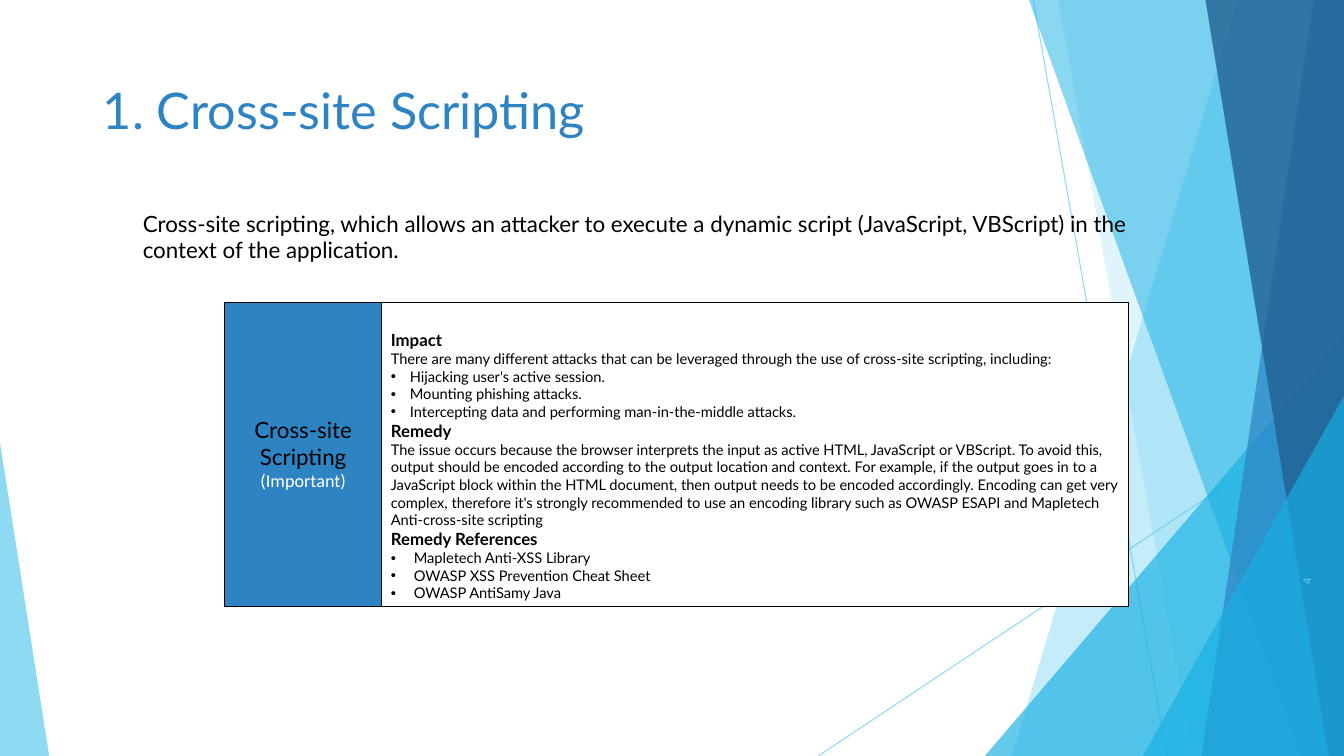
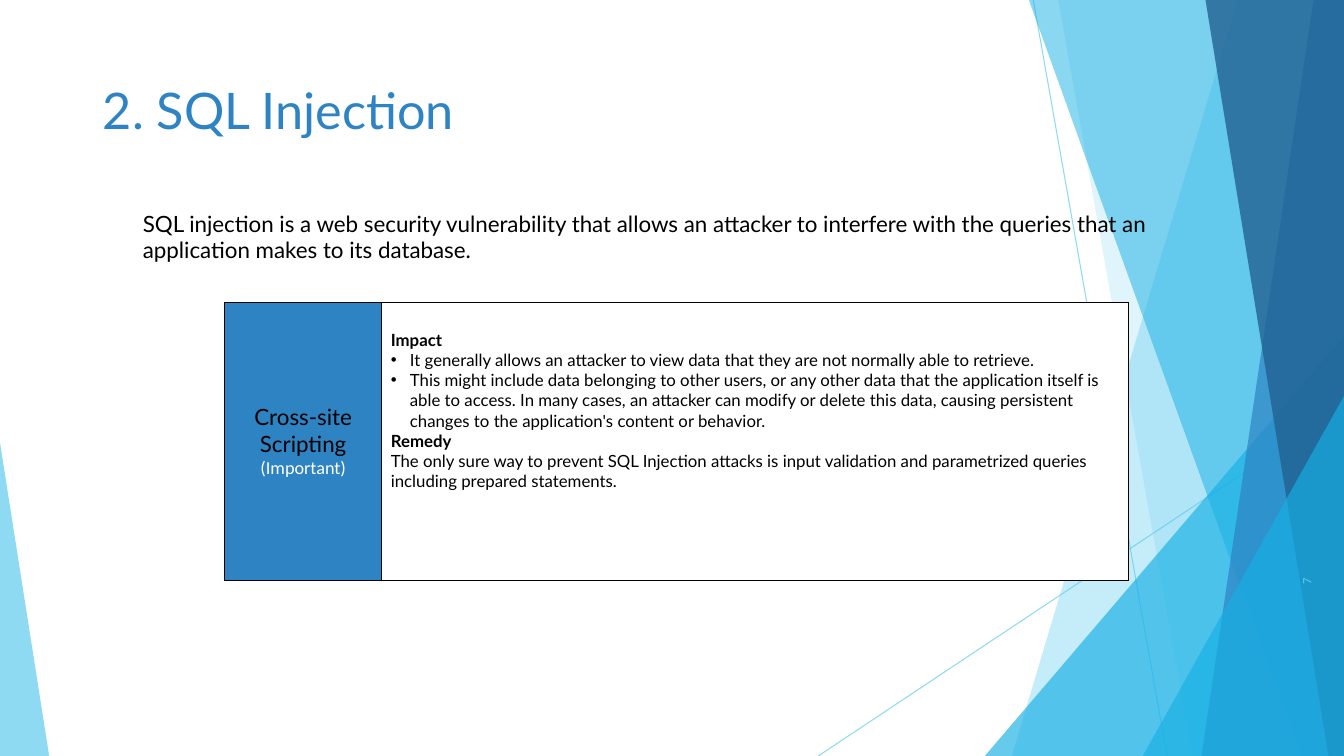
"""Build two slides that each explain a web vulnerability in a table."""
from lxml.etree import SubElement
from pptx import Presentation
from pptx.dml.color import RGBColor
from pptx.enum.shapes import MSO_CONNECTOR, MSO_SHAPE
from pptx.enum.text import MSO_ANCHOR, PP_ALIGN
from pptx.oxml.ns import qn
from pptx.util import Cm, Pt

SKY, CYAN, BLUE, NAVY = "5FCBEF", "17B0E4", "2E83C3", "226292"
BLACK, WHITE = "000000", "FFFFFF"
WIDTH, HEIGHT = 33.87, 19.05
BULLET_INDENT, REFERENCE_INDENT = 0.48, 0.58


def paint(fill, color):
    fill.solid()
    fill.fore_color.rgb = RGBColor.from_string(color)


def write(frame, text, size, color=BLACK, font="Lato", bold=False,
          align=PP_ALIGN.LEFT, spacing=1.0, bullet=None):
    para = frame.add_paragraph() if frame.text else frame.paragraphs[0]
    para.alignment = align
    para.line_spacing = spacing
    span = para.add_run()
    span.text = text
    span.font.size = Pt(size)
    span.font.name = font
    span.font.bold = bold
    paint(span.font.fill, color)
    if bullet:
        properties = para._p.get_or_add_pPr()
        properties.set("marL", str(Cm(bullet)))
        properties.set("indent", str(-Cm(bullet)))
        SubElement(properties, qn("a:buFont"), typeface="Arial")
        SubElement(properties, qn("a:buChar"), char="•")


heading = {"size": 12, "bold": True}
small = {"size": 10.5}
small_bullet = {"size": 10.5, "bullet": BULLET_INDENT}
reference = {"size": 10.5, "bullet": REFERENCE_INDENT}
medium = {"size": 12}
medium_bullet = {"size": 12, "bullet": BULLET_INDENT}

topics = [
    ("1. Cross-site Scripting", "4", 7.65,
     "Cross-site scripting, which allows an attacker to execute a dynamic script "
     "(JavaScript, VBScript) in the context of the application.",
     [("Impact", heading),
      ("There are many different attacks that can be leveraged through the use of "
       "cross-site scripting, including:", small),
      ("Hijacking user's active session.", small_bullet),
      ("Mounting phishing attacks.", small_bullet),
      ("Intercepting data and performing man-in-the-middle attacks.", small_bullet),
      ("Remedy", heading),
      ("The issue occurs because the browser interprets the input as active HTML, "
       "JavaScript or VBScript. To avoid this, output should be encoded according to the "
       "output location and context. For example, if the output goes in to a JavaScript "
       "block within the HTML document, then output needs to be encoded accordingly. "
       "Encoding can get very complex, therefore it's strongly recommended to use an "
       "encoding library such as OWASP ESAPI and Mapletech Anti-cross-site scripting", small),
      ("Remedy References", heading),
      ("Mapletech Anti-XSS Library", reference),
      ("OWASP XSS Prevention Cheat Sheet", reference),
      ("OWASP AntiSamy Java", reference)]),
    ("2. SQL Injection", "7", 7.01,
     "SQL injection is a web security vulnerability that allows an attacker to interfere "
     "with the queries that an application makes to its database.",
     [("Impact", heading),
      ("It generally allows an attacker to view data that they are not normally able to "
       "retrieve.", medium_bullet),
      ("This might include data belonging to other users, or any other data that the "
       "application itself is able to access. In many cases, an attacker can modify or "
       "delete this data, causing persistent changes to the application's content or "
       "behavior.", medium_bullet),
      ("Remedy", heading),
      ("The only sure way to prevent SQL Injection attacks is input validation and "
       "parametrized queries including prepared statements.", medium)]),
]

deck = Presentation()
deck.slide_width, deck.slide_height = Cm(WIDTH), Cm(HEIGHT)
layout = deck.slide_layouts[5]
title_holder, *footer_holders = list(layout.placeholders)
for holder in footer_holders:
    holder.element.getparent().remove(holder.element)
title_holder.left, title_holder.top = Cm(2.34), Cm(1.02)
title_holder.width, title_holder.height = Cm(29.21), Cm(3.68)
pages = [deck.slides.add_slide(layout) for topic in topics]

canvas = pages[0].shapes
decorations = []
for ends in [(26.04, 0, 29.41, HEIGHT), (WIDTH, 10.24, 20.62, HEIGHT)]:
    line = canvas.add_connector(MSO_CONNECTOR.STRAIGHT, *[Cm(value) for value in ends])
    line.line.width = Pt(0.75)
    paint(line.line.fill, SKY)
    SubElement(line.element.spPr, qn("a:effectLst"))
    decorations.append((line, 70))

bands = [
    (SKY, 36, (31.19, 25.5)),
    (SKY, 20, (26.67, 30.05)),
    (CYAN, 66, (24.82, 8.46, 9.05, 1)),
    (CYAN, 50, (25.93, 32.79)),
    (BLUE, 70, (33.1, 30.28)),
    (NAVY, 80, (30.38, 33.48)),
    (CYAN, 66, (28.8, 9.98, 5.07, 1)),
    (SKY, 70, (0, 11.15, 1.24, 0)),
]
for color, opacity, geometry in bands:
    if len(geometry) == 2:
        top_x, bottom_x = geometry
        builder = canvas.build_freeform(Cm(top_x), 0)
        corners = [(WIDTH, 0), (WIDTH, HEIGHT), (bottom_x, HEIGHT)]
        builder.add_line_segments([(Cm(x), Cm(y)) for x, y in corners])
        band = builder.convert_to_shape()
    else:
        left, top, width, peak = geometry
        band = canvas.add_shape(MSO_SHAPE.ISOSCELES_TRIANGLE, Cm(left), Cm(top),
                                Cm(width), Cm(HEIGHT - top))
        band.adjustments[0] = peak
    band.shadow.inherit = False
    band.line.fill.background()
    paint(band.fill, color)
    decorations.append((band, opacity))

for position, (shape, opacity) in enumerate(decorations, start=2):
    color_node = next(shape.element.iter(qn("a:srgbClr")))
    SubElement(color_node, qn("a:alpha"), val=str(opacity * 1000))
    layout.shapes.element.insert(position, shape.element)

for page, (title, number, row_height, intro, details) in zip(pages, topics):
    title_frame = page.shapes.title.text_frame
    title_frame.vertical_anchor = MSO_ANCHOR.MIDDLE
    write(title_frame, title, 36, BLUE, spacing=0.9)

    number_box = page.shapes.add_textbox(Cm(31.09), Cm(15.52), Cm(3.66), Cm(1.27))
    number_box.rotation = 270
    number_box.text_frame.word_wrap = True
    number_box.text_frame.vertical_anchor = MSO_ANCHOR.MIDDLE
    write(number_box.text_frame, number, 9, SKY, "Calibri", align=PP_ALIGN.RIGHT)

    table = page.shapes.add_table(2, 2, Cm(5.66), Cm(6.68), Cm(22.78),
                                  Cm(0.94 + row_height)).table
    table.first_row = table.horz_banding = False
    table.columns[0].width, table.columns[1].width = Cm(3.96), Cm(18.82)
    table.rows[0].height, table.rows[1].height = Cm(0.94), Cm(row_height)
    for index, cell in enumerate(table.iter_cells()):
        in_header = index < 2
        cell.margin_left = cell.margin_right = Cm(0.23)
        cell.margin_top = cell.margin_bottom = Cm(0 if in_header else 0.13)
        properties = cell._tc.get_or_add_tcPr()
        for edge in ("lnL", "lnR", "lnT", "lnB"):
            border = SubElement(properties, qn(f"a:{edge}"), w=str(Pt(1)))
            if in_header and edge != "lnB":
                SubElement(border, qn("a:noFill"))
            else:
                border_fill = SubElement(border, qn("a:solidFill"))
                SubElement(border_fill, qn("a:srgbClr"), val=BLACK)
        if in_header:
            cell.fill.background()

    name_cell, detail_cell = table.cell(1, 0), table.cell(1, 1)
    paint(name_cell.fill, BLUE)
    name_cell.vertical_anchor = MSO_ANCHOR.MIDDLE
    write(name_cell.text_frame, "Cross-site Scripting", 16, align=PP_ALIGN.CENTER)
    write(name_cell.text_frame, "(Important)", 13, WHITE, "Calibri", align=PP_ALIGN.CENTER)
    paint(detail_cell.fill, WHITE)
    detail_cell.margin_top = Cm(0.69)
    for text, style in details:
        write(detail_cell.text_frame, text, **style)

    intro_box = page.shapes.add_textbox(Cm(3.35), Cm(5.16), Cm(26.77), Cm(1.63))
    intro_box.text_frame.word_wrap = True
    write(intro_box.text_frame, intro, 16)

deck.save("out.pptx")
